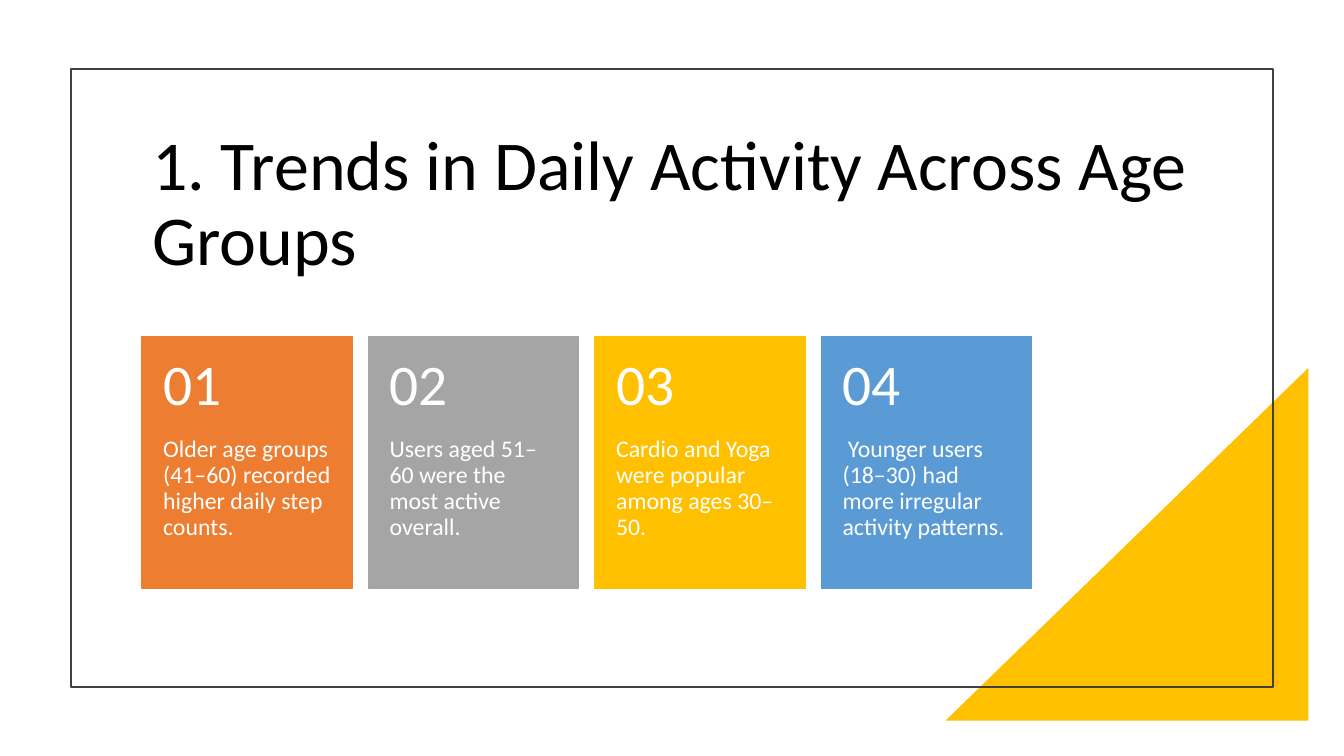
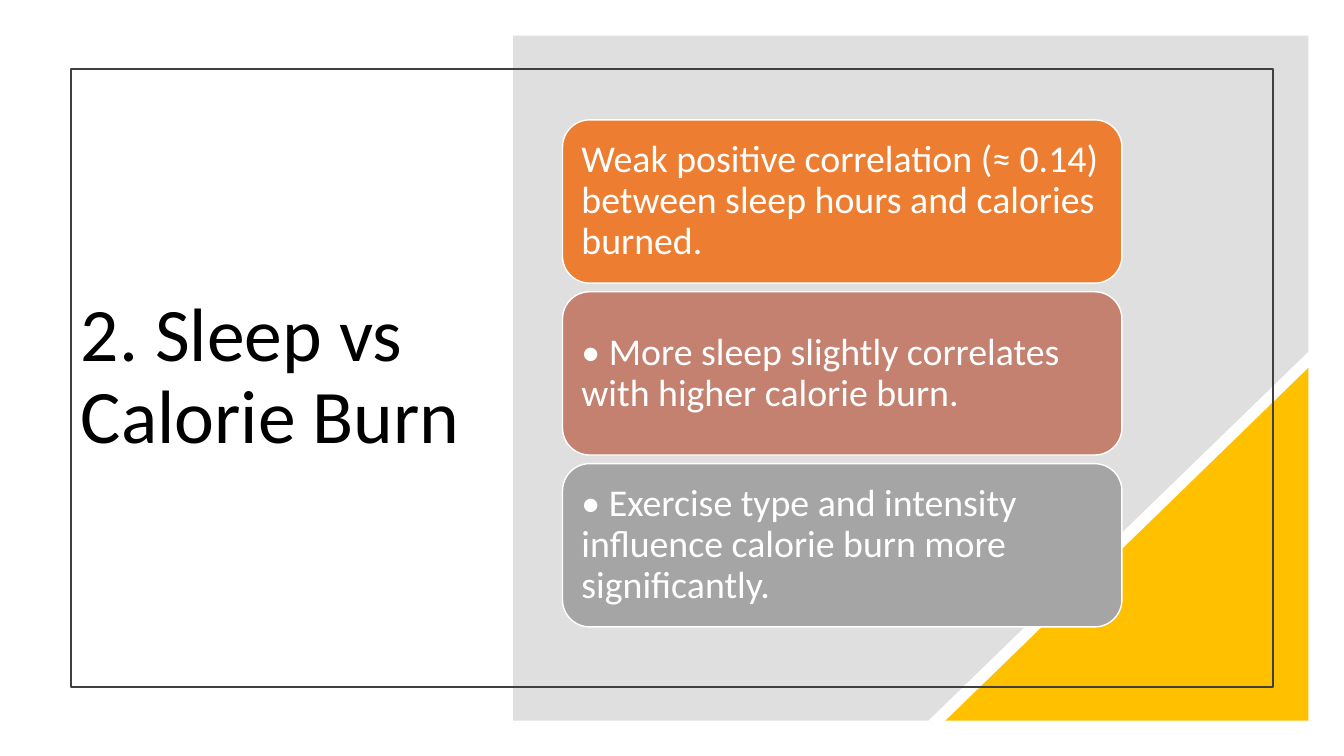
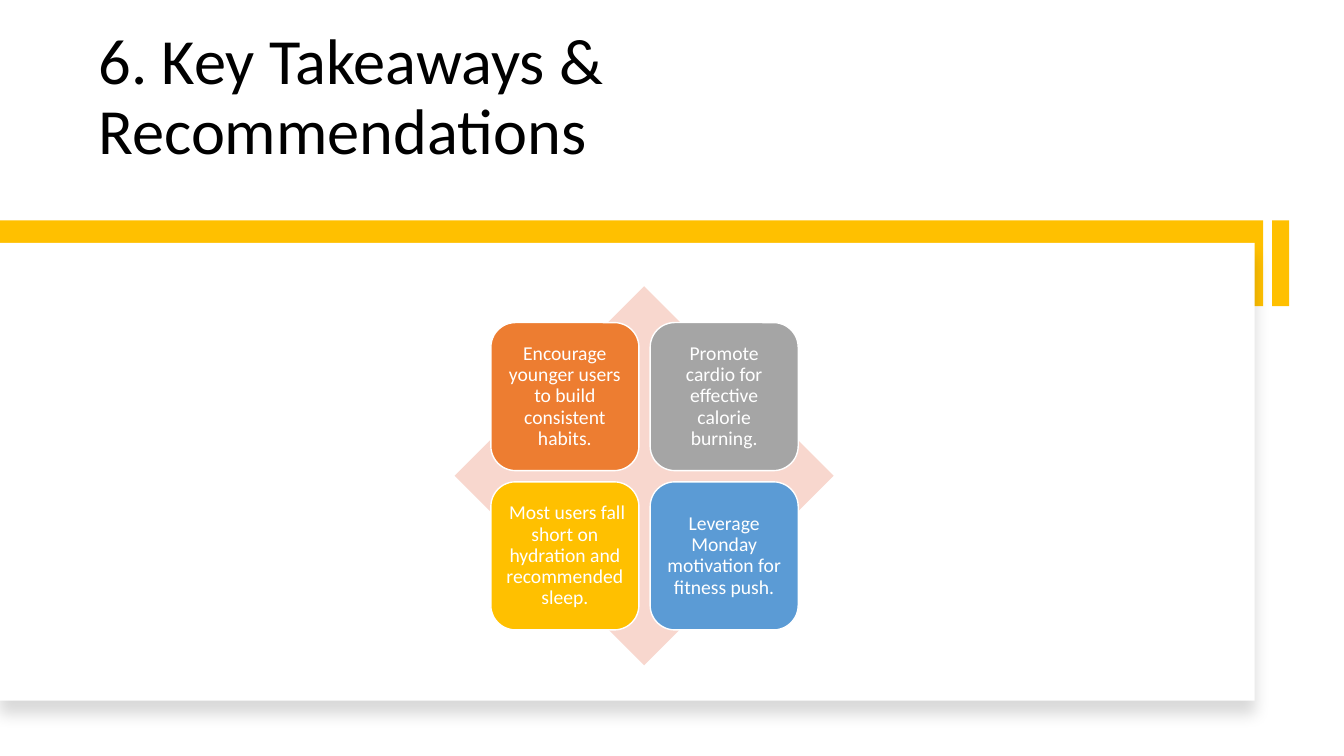
from lxml import etree
from pptx import Presentation
from pptx.dml.color import RGBColor
from pptx.enum.shapes import MSO_SHAPE
from pptx.enum.text import MSO_ANCHOR, PP_ALIGN
from pptx.oxml.ns import qn
from pptx.util import Emu, Inches, Pt

RECTANGLE = MSO_SHAPE.RECTANGLE
ROUNDED = MSO_SHAPE.ROUNDED_RECTANGLE
TRIANGLE = MSO_SHAPE.RIGHT_TRIANGLE
DIAMOND = MSO_SHAPE.DIAMOND
TOP, MIDDLE, BOTTOM = MSO_ANCHOR.TOP, MSO_ANCHOR.MIDDLE, MSO_ANCHOR.BOTTOM
LEFT, CENTER = PP_ALIGN.LEFT, PP_ALIGN.CENTER

COLORS = {
    "black": "000000", "white": "FFFFFF", "frame": "404040", "panel": "808080",
    "orange": "ED7D31", "clay": "C48170", "gray": "A5A5A5",
    "gold": "FFC000", "blue": "5B9BD5", "blush": "F8D7CE",
}
FONT = "Calibri"

# The slide is a grid of square cells; every place and size is given in cells.
COLUMNS, ROWS = 128, 72
CELL = Inches(40 / 3) / COLUMNS
TITLE_INSET = (0.96, 0.48, 0.96, 0.48)


def cells(count):
    return Emu(round(count * CELL))


def rgb(name):
    return RGBColor.from_string(COLORS[name])


def write(frame, text, size=17, color="white", anchor=MIDDLE, align=LEFT,
          inset=(0, 0, 0, 0)):
    """Fill a text frame; inset is left, top, right, bottom in cells."""
    frame.word_wrap = True
    frame.vertical_anchor = anchor
    (frame.margin_left, frame.margin_top,
     frame.margin_right, frame.margin_bottom) = map(cells, inset)
    para = frame.paragraphs[0]
    para.alignment = align
    para.line_spacing = 0.9
    span = para.add_run()
    span.text = text
    span.font.name = FONT
    span.font.size = Pt(size)
    span.font.color.rgb = rgb(color)


def set_alpha(color_node, percent):
    etree.SubElement(color_node, qn("a:alpha")).set("val", str(percent * 1000))


class Deck:
    def __init__(self):
        self.file = Presentation()
        self.file.slide_width = cells(COLUMNS)
        self.file.slide_height = cells(ROWS)
        self.page = None

    def new_page(self):
        self.page = self.file.slides.add_slide(self.file.slide_layouts[6])

    def style(self, shape, fill=None, line=None, weight=1):
        shape.shadow.inherit = False
        if fill:
            shape.fill.solid()
            shape.fill.fore_color.rgb = rgb(fill)
        else:
            shape.fill.background()
        if line:
            shape.line.color.rgb = rgb(line)
            shape.line.width = Pt(weight)
        else:
            shape.line.fill.background()
        return shape

    def shape(self, kind, place, **look):
        box = self.page.shapes.add_shape(kind, *map(cells, place))
        return self.style(box, **look)

    def outline(self, points, fill, alpha):
        """Closed polygon with a see-through fill."""
        start, *others = [tuple(map(cells, point)) for point in points]
        builder = self.page.shapes.build_freeform(*start)
        builder.add_line_segments(others, close=True)
        shape = self.style(builder.convert_to_shape(), fill=fill)
        set_alpha(shape.element.spPr.find(".//" + qn("a:srgbClr")), alpha)

    def text(self, place, text, **look):
        box = self.page.shapes.add_textbox(*map(cells, place))
        write(box.text_frame, text, **look)

    def title(self, place, text, size, anchor=MIDDLE):
        self.text(place, text, size=size, color="black", anchor=anchor,
                  inset=TITLE_INSET)

    def corner_frame(self):
        """Gold corner triangle under a thin frame."""
        corner = self.shape(TRIANGLE, (90.05, 35.04, 34.56, 33.6), fill="gold")
        corner.element.spPr.xfrm.set("flipH", "1")
        self.shape(RECTANGLE, (6.75, 6.55, 114.5, 58.85), line="frame", weight=1.5)

    def rounded_card(self, place, text, fill, **look):
        card = self.shape(ROUNDED, place, fill=fill, line="white")
        write(card.text_frame, text, **look)

    def numbered_card(self, place, number, text, fill):
        left, top, width, height = place
        head = 9.6
        self.shape(RECTANGLE, place, fill=fill, line=fill)
        self.text((left, top + head, width, height - head), text,
                  anchor=TOP, inset=(2, 0, 2, 3.45))
        self.text((left, top, width, head), f"{number:02}", size=41,
                  inset=(2, 1.75, 2, 1.75))

    def drop_shadow(self, shape, alpha, blur, distance):
        effects = shape.element.spPr.find(qn("a:effectLst"))
        shadow = etree.SubElement(effects, qn("a:outerShdw"), {
            "blurRad": str(Pt(blur)), "dist": str(Pt(distance)),
            "dir": str(90 * 60000), "algn": "t", "rotWithShape": "0"})
        color = etree.SubElement(shadow, qn("a:srgbClr"), val=COLORS["black"])
        set_alpha(color, alpha)


def age_groups(deck):
    deck.new_page()
    deck.corner_frame()
    deck.title((13.54, 11.04, 104.64, 17),
               "1. Trends in Daily Activity Across Age Groups", 50)
    # Row of numbered cards
    cards = [
        ("Older age groups (41–60) recorded higher daily step counts.", "orange"),
        ("Users aged 51–60 were the most active overall.", "gray"),
        ("Cardio and Yoga were popular among ages 30–50.", "gold"),
        (" Younger users (18–30) had more irregular activity patterns.", "blue"),
    ]
    for index, (text, fill) in enumerate(cards):
        deck.numbered_card((13.54 + index * 21.57, 32.06, 20, 24),
                           index + 1, text, fill)


def sleep(deck):
    deck.new_page()
    deck.title((6.75, 12.48, 42.05, 47.04), "2. Sleep vs Calorie Burn", 54)
    # Gray backdrop, cut off along the corner triangle
    left, top, right, bottom = 48.86, 3.4, 124.6, 68.64
    deck.outline([(left, top), (right, top), (right, 33.5), (88.4, bottom),
                  (left, bottom)], fill="panel", alpha=25)
    deck.corner_frame()
    # Stack of findings
    findings = [
        ("Weak positive correlation (≈ 0.14) between sleep hours and calories "
         "burned.", "orange"),
        ("• More sleep slightly correlates with higher calorie burn.", "clay"),
        ("• Exercise type and intensity influence calorie burn more "
         "significantly.", "gray"),
    ]
    for index, (text, fill) in enumerate(findings):
        deck.rounded_card((53.57, 11.42 + index * 16.37, 53.28, 15.55),
                          text, fill, size=27, inset=(1.05,) * 4)


def takeaways(deck):
    deck.new_page()
    deck.title((8.45, 4.03, 96.96, 12.48),
               "6. Key Takeaways & Recommendations", 46, anchor=BOTTOM)
    # Gold band with its end tab, behind a raised white panel
    deck.shape(RECTANGLE, (121.15, 21, 1.63, 8.16), fill="gold")
    deck.shape(RECTANGLE, (0, 21, 120.3, 8.16), fill="gold")
    panel = deck.shape(RECTANGLE, (0, 23.14, 119.5, 43.58), fill="white")
    deck.drop_shadow(panel, alpha=15, blur=11, distance=10)
    # Two by two cards on a diamond
    deck.shape(DIAMOND, (43.3, 27.26, 36.1, 36.1), fill="blush")
    cards = [
        ("Encourage younger users to build consistent habits.", "orange"),
        ("Promote cardio for effective calorie burning.", "gray"),
        (" Most users fall short on hydration and recommended sleep.", "gold"),
        ("Leverage Monday motivation for fitness push.", "blue"),
    ]
    for index, (text, fill) in enumerate(cards):
        row, column = divmod(index, 2)
        deck.rounded_card((46.75 + column * 15.17, 30.72 + row * 15.17, 14.1, 14.1),
                          text, fill, size=14, align=CENTER, inset=(0.58,) * 4)


def main():
    deck = Deck()
    for build in (age_groups, sleep, takeaways):
        build(deck)
    deck.file.save("out.pptx")


if __name__ == "__main__":
    main()
